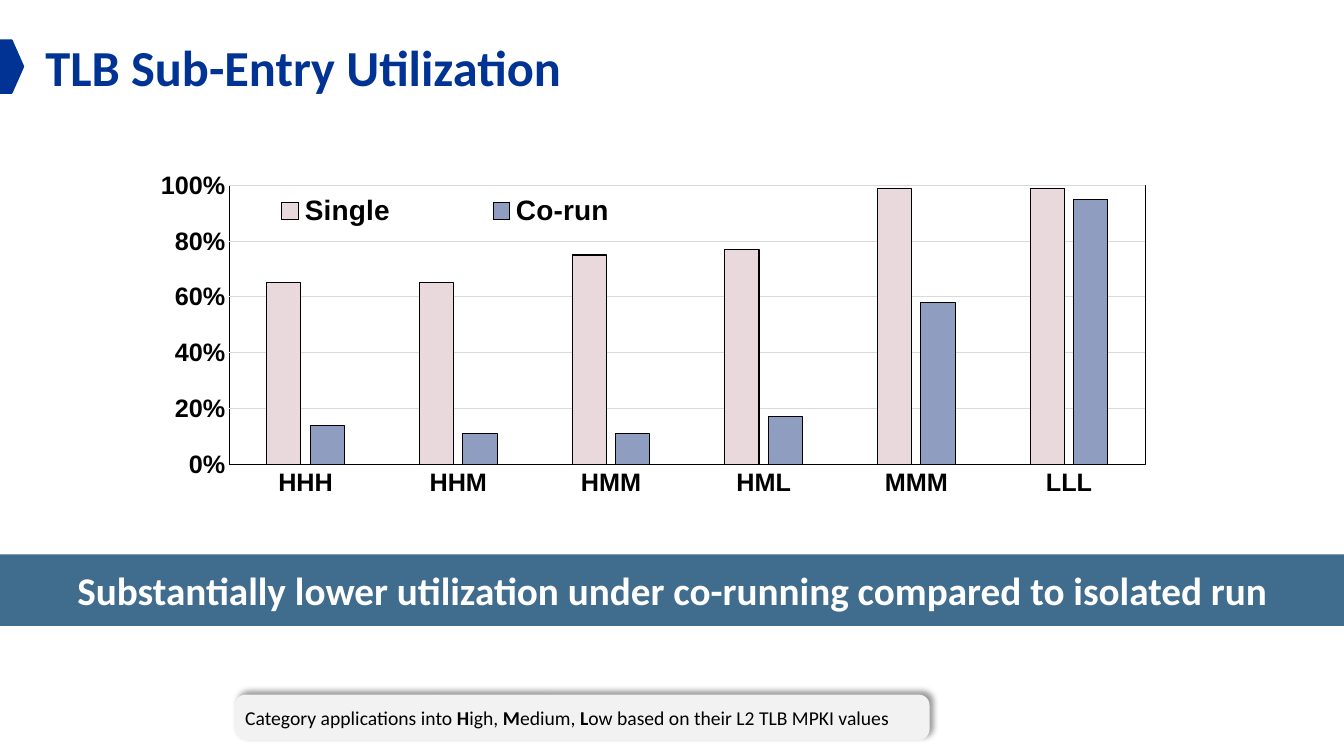
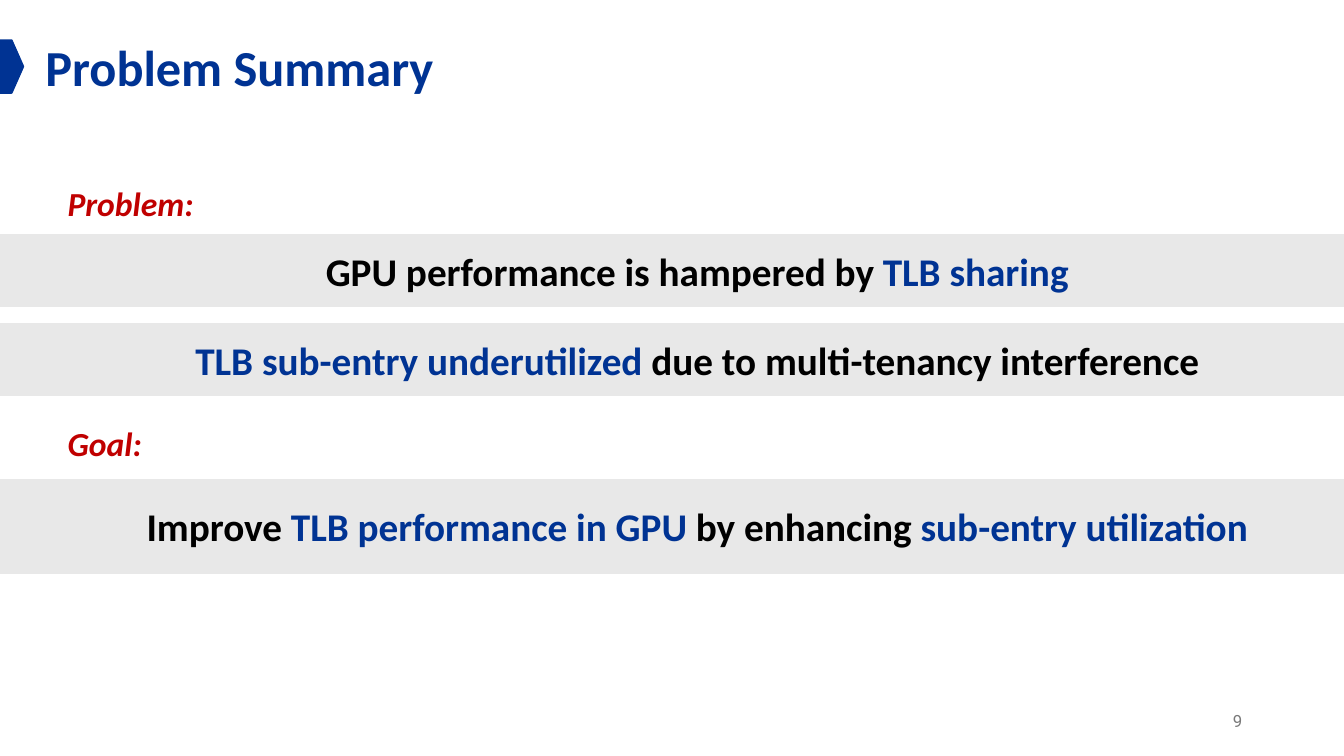
import pptx
import pptx.util
import pptx.chart.data
import pptx.dml.color
import pptx.enum.chart
import pptx.enum.shapes
import pptx.enum.text
import pptx.oxml
import pptx.oxml.ns

Inches = pptx.util.Inches
Pt = pptx.util.Pt
RGBColor = pptx.dml.color.RGBColor
SHAPE = pptx.enum.shapes.MSO_SHAPE
ALIGN = pptx.enum.text.PP_ALIGN
ANCHOR = pptx.enum.text.MSO_ANCHOR
CHART = pptx.enum.chart

NAVY = RGBColor(0x00, 0x33, 0x93)
STEEL = RGBColor(0x40, 0x6D, 0x8E)
RED = RGBColor(0xC0, 0x00, 0x00)
BLACK = RGBColor(0x00, 0x00, 0x00)
WHITE = RGBColor(0xFF, 0xFF, 0xFF)
SILVER = RGBColor(0xE8, 0xE8, 0xE8)
PALE = RGBColor(0xF2, 0xF2, 0xF2)
GRAY = RGBColor(0x79, 0x79, 0x79)
GRID = RGBColor(0xD9, 0xD9, 0xD9)
PINK = RGBColor(0xEA, 0xD9, 0xDC)
BLUE = RGBColor(0x8F, 0x9E, 0xC0)

WIDTH = 13.33
DRAW = pptx.oxml.ns.nsdecls("a")
PLOT = pptx.oxml.ns.nsdecls("c", "a")


def style(font, size, color, bold=False, name="Calibri"):
    font.name = name
    font.size = Pt(size)
    font.bold = bold
    font.color.rgb = color


def add_run(para, text, size, color, bold=False, name="Calibri"):
    run = para.add_run()
    run.text = text
    style(run.font, size, color, bold, name)
    return run


def add_box(slide, kind, place, fill, edge=None):
    box = slide.shapes.add_shape(kind, *map(Inches, place))
    box.shadow.inherit = False
    box.fill.solid()
    box.fill.fore_color.rgb = fill
    if edge is None:
        box.line.fill.background()
    else:
        box.line.color.rgb = edge
        box.line.width = Pt(1.5)
    box.text_frame.word_wrap = True
    box.text_frame.vertical_anchor = ANCHOR.MIDDLE
    return box


def add_text(slide, place):
    frame = slide.shapes.add_textbox(*map(Inches, place)).text_frame
    frame.word_wrap = True
    frame.vertical_anchor = ANCHOR.MIDDLE
    return frame


def add_slide(deck, title):
    slide = deck.slides.add_slide(deck.slide_layouts[5])
    head = slide.shapes.title
    head.left, head.top, head.width, head.height = map(Inches, (0.35, 0.31, 12.56, 0.71))
    frame = head.text_frame
    frame.vertical_anchor = ANCHOR.TOP
    frame.auto_size = pptx.enum.text.MSO_AUTO_SIZE.NONE
    para = frame.paragraphs[0]
    para.alignment = ALIGN.LEFT
    add_run(para, title, 36, NAVY, True)
    add_box(slide, SHAPE.PENTAGON, (0, 0.4, 0.23, 0.52), NAVY, NAVY)
    return slide


def add_band(slide, top, high, fill, parts, edge=None, level=0):
    band = add_box(slide, SHAPE.RECTANGLE, (0, top, WIDTH, high), fill, edge)
    para = band.text_frame.paragraphs[0]
    para.alignment = ALIGN.CENTER
    para.level = level
    for text, color in parts:
        add_run(para, text, 28, color, True)


def add_label(slide, top, text):
    frame = add_text(slide, (0.47, top, 10.36, 0.63))
    frame.margin_left = Inches(0.2)
    frame.margin_top = frame.margin_right = frame.margin_bottom = 0
    add_run(frame.paragraphs[0], text, 24, RED, True).font.italic = True


def add_note(slide, parts):
    note = add_box(slide, SHAPE.ROUNDED_RECTANGLE, (2.33, 6.89, 6.89, 0.45), PALE)
    note.adjustments[0] = 0.24
    note.text_frame.margin_left = Inches(0.07)
    glow = note._element.spPr.find(pptx.oxml.ns.qn("a:effectLst"))
    glow.append(pptx.oxml.parse_xml(
        f'<a:outerShdw {DRAW} blurRad="{Pt(4)}" dist="{Pt(3)}" dir="18900000" '
        'algn="bl" rotWithShape="0"><a:srgbClr val="000000">'
        '<a:alpha val="40000"/></a:srgbClr></a:outerShdw>'))
    para = note.text_frame.paragraphs[0]
    para.alignment = ALIGN.LEFT
    for text, bold in parts:
        add_run(para, text, 14, BLACK, bold)


def set_place(part, spot, inner=False):
    for old in part.findall(pptx.oxml.ns.qn("c:layout")):
        part.remove(old)
    target = '<c:layoutTarget val="inner"/>' if inner else ""
    modes = "".join(f'<c:{side}Mode val="edge"/>' for side in "xy")
    sizes = "".join(f'<c:{key} val="{val}"/>' for key, val in zip("xywh", spot))
    node = pptx.oxml.parse_xml(
        f"<c:layout {PLOT}><c:manualLayout>{target}{modes}{sizes}"
        "</c:manualLayout></c:layout>")
    part.insert(0 if inner else 1, node)


def add_chart(slide):
    data = pptx.chart.data.CategoryChartData(number_format="0%")
    data.categories = ["HHH", "HHM", "HMM", "HML", "MMM", "LLL"]
    data.add_series("Single", (0.65, 0.65, 0.75, 0.77, 0.99, 0.99))
    data.add_series("Co-run", (0.14, 0.11, 0.11, 0.17, 0.58, 0.95))
    place = map(Inches, (1.56, 1.37, 10.21, 4.26))
    chart = slide.shapes.add_chart(CHART.XL_CHART_TYPE.COLUMN_CLUSTERED, *place, data).chart
    chart.has_title = False
    style(chart.font, 16, BLACK, True, "Arial")

    plot = chart.plots[0]
    plot.gap_width = 219
    plot.overlap = -27
    plot.vary_by_categories = False
    for bars, color in zip(plot.series, (PINK, BLUE)):
        bars.format.fill.solid()
        bars.format.fill.fore_color.rgb = color
        bars.format.line.color.rgb = BLACK
        bars.format.line.width = Pt(0.75)

    for axis in (chart.category_axis, chart.value_axis):
        axis.major_tick_mark = axis.minor_tick_mark = CHART.XL_TICK_MARK.NONE
        style(axis.tick_labels.font, 18, BLACK, True, "Arial")
    base = chart.category_axis.format.line
    base.color.rgb = BLACK
    base.width = Pt(0.75)
    scale = chart.value_axis
    scale.minimum_scale, scale.maximum_scale, scale.major_unit = 0, 1, 0.2
    scale.tick_labels.number_format = "0%"
    scale.tick_labels.number_format_is_linked = False
    scale.format.line.fill.background()
    scale.major_gridlines.format.line.color.rgb = GRID
    scale.major_gridlines.format.line.width = Pt(0.75)

    chart.has_legend = True
    legend = chart.legend
    legend.position = CHART.XL_LEGEND_POSITION.BOTTOM
    legend.include_in_layout = False
    style(legend.font, 20, BLACK, True, "Arial")
    set_place(legend._element, (0.03, 0.12, 0.5, 0.1))
    area = chart._chartSpace.chart.plotArea
    set_place(area, (0.07, 0.11, 0.89, 0.65), True)
    area.append(pptx.oxml.parse_xml(
        f'<c:spPr {PLOT}><a:noFill/><a:ln w="{Pt(0.75)}"><a:solidFill>'
        '<a:srgbClr val="000000"/></a:solidFill></a:ln></c:spPr>'))


def add_usage(deck):
    slide = add_slide(deck, "TLB Sub-Entry Utilization")
    add_chart(slide)
    add_note(slide, [
        ("Category applications into ", False), ("H", True), ("igh, ", False),
        ("M", True), ("edium, ", False), ("L", True),
        ("ow based on their L2 TLB MPKI values", False)])
    claim = "Substantially lower utilization under co-running compared to isolated run"
    add_band(slide, 5.5, 0.71, STEEL, [(claim, WHITE)])


def add_goals(deck):
    slide = add_slide(deck, "Problem Summary")
    add_label(slide, 1.7, "Problem:")
    add_label(slide, 4.08, "Goal:")
    bands = [
        (2.33, 0.71, [("GPU performance is hampered by ", BLACK), ("TLB sharing", NAVY)]),
        (3.21, 0.71, [("TLB sub-entry underutilized ", NAVY),
                      ("due to multi-tenancy interference", BLACK)]),
        (4.76, 0.92, [("Improve ", BLACK), ("TLB performance in GPU ", NAVY),
                      ("by enhancing ", BLACK), ("sub-entry utilization", NAVY)]),
    ]
    for top, high, parts in bands:
        add_band(slide, top, high, SILVER, parts, SILVER, 1)
    para = add_text(slide, (9.42, 6.95, 3, 0.4)).paragraphs[0]
    para.alignment = ALIGN.RIGHT
    add_run(para, "9", 12, GRAY, name="Roboto")


def main():
    deck = pptx.Presentation()
    deck.slide_width = Inches(WIDTH)
    deck.slide_height = Inches(7.5)
    add_usage(deck)
    add_goals(deck)
    deck.save("out.pptx")


if __name__ == "__main__":
    main()
